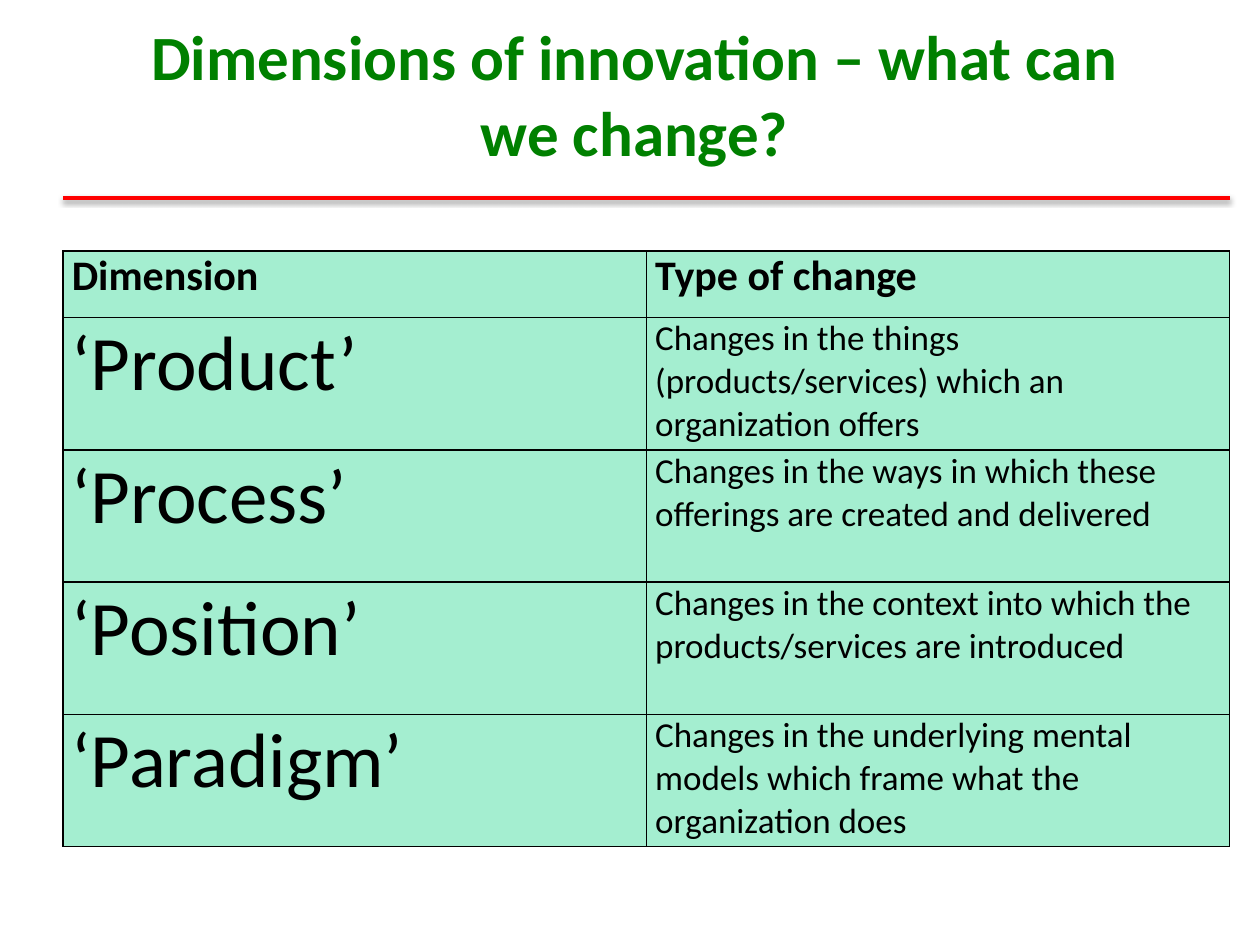
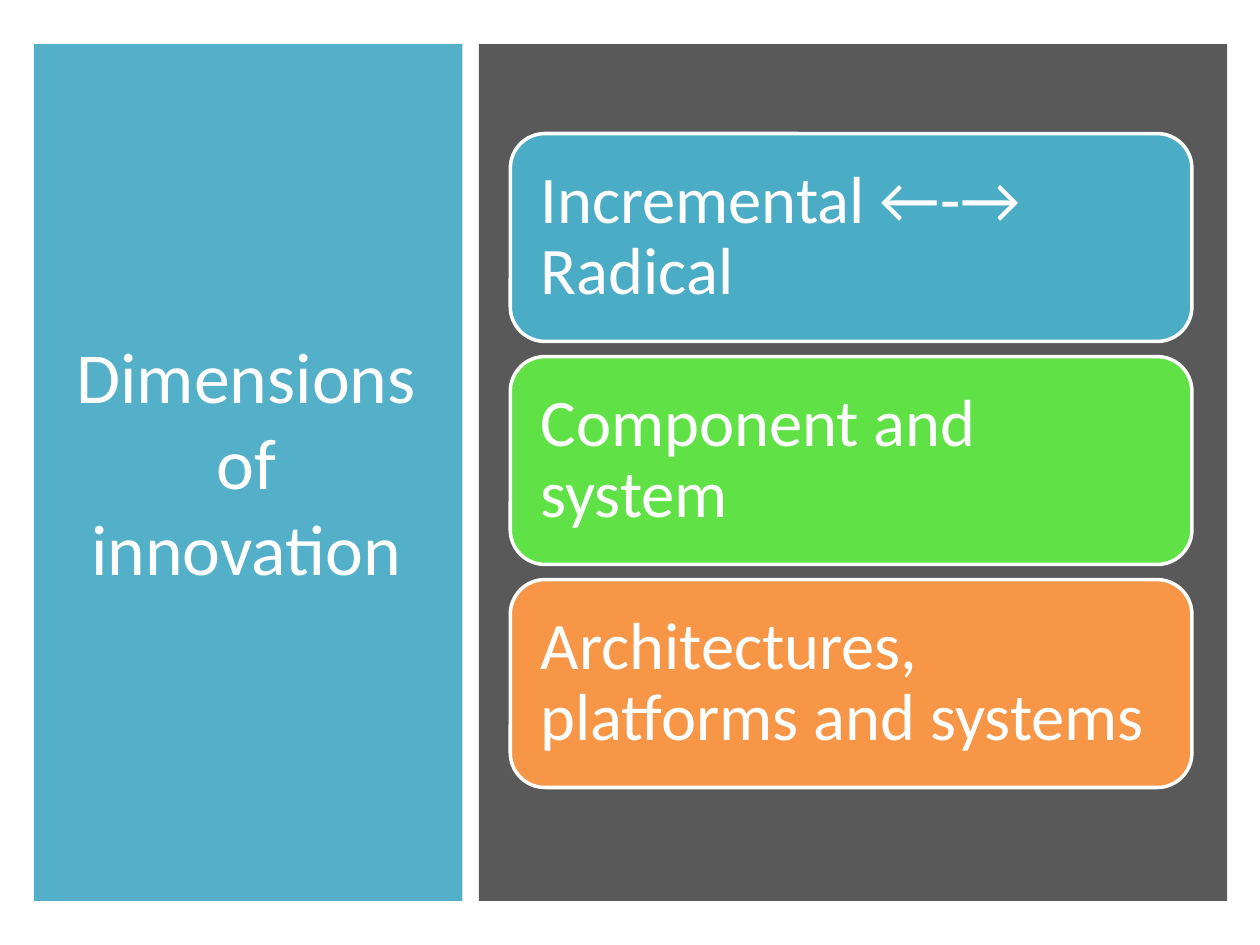
from lxml.etree import SubElement
from pptx import Presentation
from pptx.dml.color import RGBColor as RGB
from pptx.enum.shapes import MSO_CONNECTOR as LINK, MSO_SHAPE as KIND
from pptx.enum.text import MSO_ANCHOR as ANCHOR, PP_ALIGN as ALIGN
from pptx.oxml import parse_xml
from pptx.oxml.ns import nsdecls, qn
from pptx.util import Inches, Pt

BLACK, WHITE = RGB(0, 0, 0), RGB(255, 255, 255)
GREEN, RED, MINT = RGB(0, 128, 0), RGB(255, 0, 0), RGB(0xA4, 0xEE, 0xD0)
TEAL, GREY = RGB(0x4B, 0xAC, 0xC6), RGB(0x59, 0x59, 0x59)
LIME, ORANGE = RGB(0x60, 0xE1, 0x46), RGB(0xF7, 0x96, 0x46)
FONT = "Calibri"

WIDE, HIGH = 10, 7.5
LEFT, SPAN = 0.5, 9.26

HEAD = "Dimensions of innovation – what can we change?"
ROWS = [
    ("Dimension", "Type of change"),
    ("‘Product’", "Changes in the things (products/services) which an organization offers"),
    ("‘Process’", "Changes in the ways in which these offerings are created and delivered"),
    ("‘Position’", "Changes in the context into which the products/services are introduced"),
    ("‘Paradigm’", "Changes in the underlying mental models which frame what the organization does"),
]
SIDE = "Dimensions of innovation"
CARDS = [
    ("Incremental ←-→ Radical", TEAL),
    ("Component and system", LIME),
    ("Architectures, platforms and systems", ORANGE),
]


def write(frame, text, size, color=BLACK, bold=False, align=ALIGN.LEFT,
          anchor=ANCHOR.MIDDLE, inset=None, lead=None):
    frame.word_wrap = True
    frame.vertical_anchor = anchor
    if inset is not None:
        frame.margin_left = frame.margin_right = Inches(inset)
        frame.margin_top = frame.margin_bottom = Inches(inset)
    para = frame.paragraphs[0]
    para.text = text
    para.alignment = align
    para.line_spacing = lead
    font = para.font
    font.name, font.size, font.bold = FONT, Pt(size), bold
    font.color.rgb = color


def title(slide, text, box, size, color, bold=False):
    area = slide.shapes.add_textbox(*map(Inches, box))
    write(area.text_frame, text, size, color, bold, ALIGN.CENTER)


def block(slide, kind, box, fill, edge=None):
    shape = slide.shapes.add_shape(kind, *map(Inches, box))
    shape.shadow.inherit = False
    shape.fill.solid()
    shape.fill.fore_color.rgb = fill
    if edge is None:
        shape.line.fill.background()
    else:
        shape.line.color.rgb = edge
        shape.line.width = Pt(2)
    return shape


def rule(slide, top):
    """Red line with a soft shadow below it."""
    line = slide.shapes.add_connector(
        LINK.STRAIGHT, *map(Inches, (LEFT, top, LEFT + SPAN, top)))
    line.line.color.rgb = RED
    line.line.width = Pt(2)
    line._element.spPr.append(parse_xml(
        f'<a:effectLst {nsdecls("a")}><a:outerShdw blurRad="{Pt(3.1)}" '
        f'dist="{Pt(1.6)}" dir="5400000" rotWithShape="0"><a:srgbClr '
        f'val="{BLACK}"><a:alpha val="38000"/></a:srgbClr>'
        '</a:outerShdw></a:effectLst>'))


def border(cell):
    props = cell._tc.get_or_add_tcPr()
    for spot, side in enumerate("LRTB"):
        props.insert(spot, parse_xml(
            f'<a:ln{side} {nsdecls("a")} w="{Pt(1)}"><a:solidFill>'
            f'<a:srgbClr val="{BLACK}"/></a:solidFill></a:ln{side}>'))


def grid(slide, top, first, rest):
    high = first + rest * (len(ROWS) - 1)
    table = slide.shapes.add_table(
        len(ROWS), 2, *map(Inches, (LEFT, top, SPAN, high))).table
    table.first_row = table.horz_banding = False
    for col in table.columns:
        col.width = Inches(SPAN / 2)
    for r, texts in enumerate(ROWS):
        table.rows[r].height = Inches(rest if r else first)
        for c, text in enumerate(texts):
            cell = table.cell(r, c)
            size = (44, 20)[c] if r else 24
            write(cell.text_frame, text, size, bold=r == 0, anchor=None)
            cell.vertical_anchor = ANCHOR.TOP
            cell.margin_left = cell.margin_right = Inches(0.07)
            cell.margin_top = cell.margin_bottom = 0
            cell.fill.solid()
            cell.fill.fore_color.rgb = MINT
            border(cell)


def change(slide):
    title(slide, HEAD, (0.98, 0.21, 8.11, 1.06), 36, GREEN, bold=True)
    rule(slide, 1.57)
    grid(slide, 1.99, 0.53, 1.05)


def scope(slide):
    top, high = 0.35, HIGH - 2 * 0.35
    panel = block(slide, KIND.RECTANGLE, (0.27, top, 3.4, high), TEAL)
    tint = panel._element.spPr.find(qn("a:solidFill"))[0]
    SubElement(tint, qn("a:alpha")).set("val", "95000")
    title(slide, SIDE, (0.43, 0.64, 3.05, 6.04), 41, WHITE)
    block(slide, KIND.RECTANGLE, (3.8, top, 5.94, high), GREY)
    for i, (text, fill) in enumerate(CARDS):
        box = 4.05, 1.06 + 1.77 * i, 5.41, 1.65
        card = block(slide, KIND.ROUNDED_RECTANGLE, box, fill, WHITE)
        write(card.text_frame, text, 38, WHITE, inset=0.16, lead=0.9)


def main():
    deck = Presentation()
    deck.slide_width, deck.slide_height = Inches(WIDE), Inches(HIGH)
    for draw in (change, scope):
        draw(deck.slides.add_slide(deck.slide_layouts[6]))
    deck.save("out.pptx")


if __name__ == "__main__":
    main()
